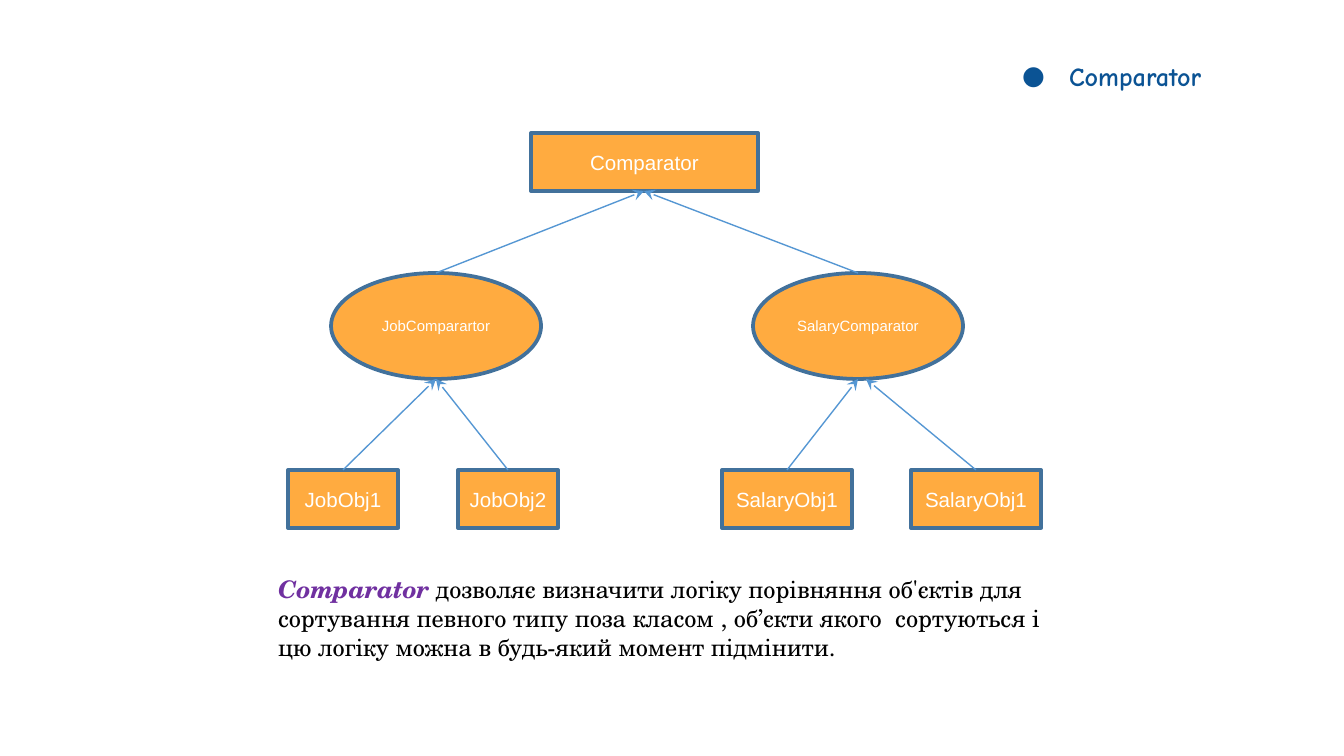
from dataclasses import dataclass

from pptx import Presentation
from pptx.dml.color import RGBColor
from pptx.enum.shapes import MSO_CONNECTOR, MSO_SHAPE
from pptx.enum.text import MSO_ANCHOR, MSO_AUTO_SIZE, PP_ALIGN
from pptx.oxml.ns import qn
from pptx.util import Emu, Pt
from lxml.etree import SubElement

EMU_PER_PX = 914400 / 134.4


def px(length):
    return Emu(round(length * EMU_PER_PX))


@dataclass(frozen=True)
class Theme:
    fill: str = "FFAB40"
    outline: str = "42719B"
    arrow: str = "5597D3"
    light: str = "FFFFFF"
    dark: str = "000000"
    accent: str = "7030A0"
    heading: str = "0B5394"
    shape_font: str = "Arial"
    heading_font: str = "Comic Neue"
    body_font: str = "TeX Gyre Schola"
    small_size: int = 8
    box_size: int = 11
    body_size: int = 13
    heading_size: int = 14
    outline_width: float = 2
    arrow_width: float = 0.75


@dataclass(frozen=True)
class Box:
    left: int
    top: int
    width: int
    height: int

    @property
    def center(self):
        return self.left + self.width // 2

    @property
    def bottom(self):
        return self.top + self.height


class SlideBuilder:
    """Draws styled elements on one slide."""

    def __init__(self, slide, theme):
        self.slide = slide
        self.theme = theme

    def add_run(self, paragraph, text, font, size, color, bold=False, italic=False):
        run = paragraph.add_run()
        run.text = text
        run.font.name = font
        run.font.size = Pt(size)
        run.font.bold = bold
        run.font.italic = italic
        run.font.color.rgb = RGBColor.from_string(color)

    def format_frame(self, frame, anchor, side=9, edge=5):
        frame.word_wrap = True
        frame.auto_size = MSO_AUTO_SIZE.NONE
        frame.vertical_anchor = anchor
        frame.margin_left = frame.margin_right = px(side)
        frame.margin_top = frame.margin_bottom = px(edge)

    def place(self, placeholder, box, side, edge):
        """Move a placeholder and return its first paragraph, left aligned."""
        placeholder.left, placeholder.top = px(box.left), px(box.top)
        placeholder.width, placeholder.height = px(box.width), px(box.height)
        self.format_frame(placeholder.text_frame, MSO_ANCHOR.TOP, side, edge)
        paragraph = placeholder.text_frame.paragraphs[0]
        paragraph.alignment = PP_ALIGN.LEFT
        paragraph.space_before = Pt(0)
        return paragraph

    def heading(self, box, text):
        theme = self.theme
        paragraph = self.place(self.slide.shapes.title, box, 13, 13)
        properties = paragraph._p.get_or_add_pPr()
        properties.set("marL", str(px(67)))
        properties.set("indent", str(-px(47)))
        bullet_color = SubElement(properties, qn("a:buClr"))
        SubElement(bullet_color, qn("a:srgbClr"), val=theme.heading)
        SubElement(properties, qn("a:buFont"), typeface=theme.heading_font)
        SubElement(properties, qn("a:buChar"), char="●")
        self.add_run(paragraph, text, theme.heading_font, theme.heading_size,
                     theme.heading, bold=True)

    def description(self, box, term, text):
        theme = self.theme
        paragraph = self.place(self.slide.placeholders[1], box, 9, 5)
        properties = paragraph._p.get_or_add_pPr()
        properties.set("marL", "0")
        properties.set("indent", "0")
        SubElement(properties, qn("a:buNone"))
        self.add_run(paragraph, term, theme.body_font, theme.body_size,
                     theme.accent, bold=True, italic=True)
        self.add_run(paragraph, text, theme.body_font, theme.body_size, theme.dark)

    def node(self, kind, box, text, size):
        theme = self.theme
        shape = self.slide.shapes.add_shape(
            kind, px(box.left), px(box.top), px(box.width), px(box.height))
        shape.shadow.inherit = False
        shape.fill.solid()
        shape.fill.fore_color.rgb = RGBColor.from_string(theme.fill)
        shape.line.color.rgb = RGBColor.from_string(theme.outline)
        shape.line.width = Pt(theme.outline_width)
        self.format_frame(shape.text_frame, MSO_ANCHOR.MIDDLE)
        paragraph = shape.text_frame.paragraphs[0]
        paragraph.alignment = PP_ALIGN.CENTER
        self.add_run(paragraph, text, theme.shape_font, size, theme.light)

    def arrow(self, child, parent, shift=0):
        """Point from the top of child to the bottom of parent."""
        connector = self.slide.shapes.add_connector(
            MSO_CONNECTOR.STRAIGHT, px(child.center), px(child.top),
            px(parent.center + shift), px(parent.bottom))
        connector.line.color.rgb = RGBColor.from_string(self.theme.arrow)
        connector.line.width = Pt(self.theme.arrow_width)
        SubElement(connector.line._get_or_add_ln(), qn("a:tailEnd"), type="stealth")
        SubElement(connector._element.spPr, qn("a:effectLst"))


def main():
    presentation = Presentation()
    presentation.slide_width, presentation.slide_height = px(1344), px(756)
    slide = presentation.slides.add_slide(presentation.slide_layouts[1])
    theme = Theme()
    builder = SlideBuilder(slide, theme)

    root = Box(531, 133, 227, 58)
    # Each comparator: left, name, then (left, width, name, arrow shift) per object
    comparators = [
        (331, "JobComparartor",
         [(288, 110, "JobObj1", 0), (458, 100, "JobObj2", 0)]),
        (753, "SalaryComparator",
         [(722, 130, "SalaryObj1", 0), (911, 130, "SalaryObj1", 8)]),
    ]

    builder.node(MSO_SHAPE.RECTANGLE, root, "Comparator", theme.box_size)
    for left, name, objects in comparators:
        comparator = Box(left, 273, 210, 106)
        builder.node(MSO_SHAPE.OVAL, comparator, name, theme.small_size)
        builder.arrow(comparator, root)
        for object_left, width, object_name, shift in objects:
            item = Box(object_left, 470, width, 58)
            builder.node(MSO_SHAPE.RECTANGLE, item, object_name, theme.box_size)
            builder.arrow(item, comparator, shift)

    builder.description(
        Box(269, 569, 797, 122), "Comparator ",
        "дозволяє визначити логіку порівняння об'єктів для сортування певного "
        "типу поза класом , об’єкти якого  сортуються і цю логіку можна "
        "в будь-який момент підмінити.")
    builder.heading(Box(989, 47, 270, 59), "Comparator")
    presentation.save("out.pptx")


if __name__ == "__main__":
    main()
